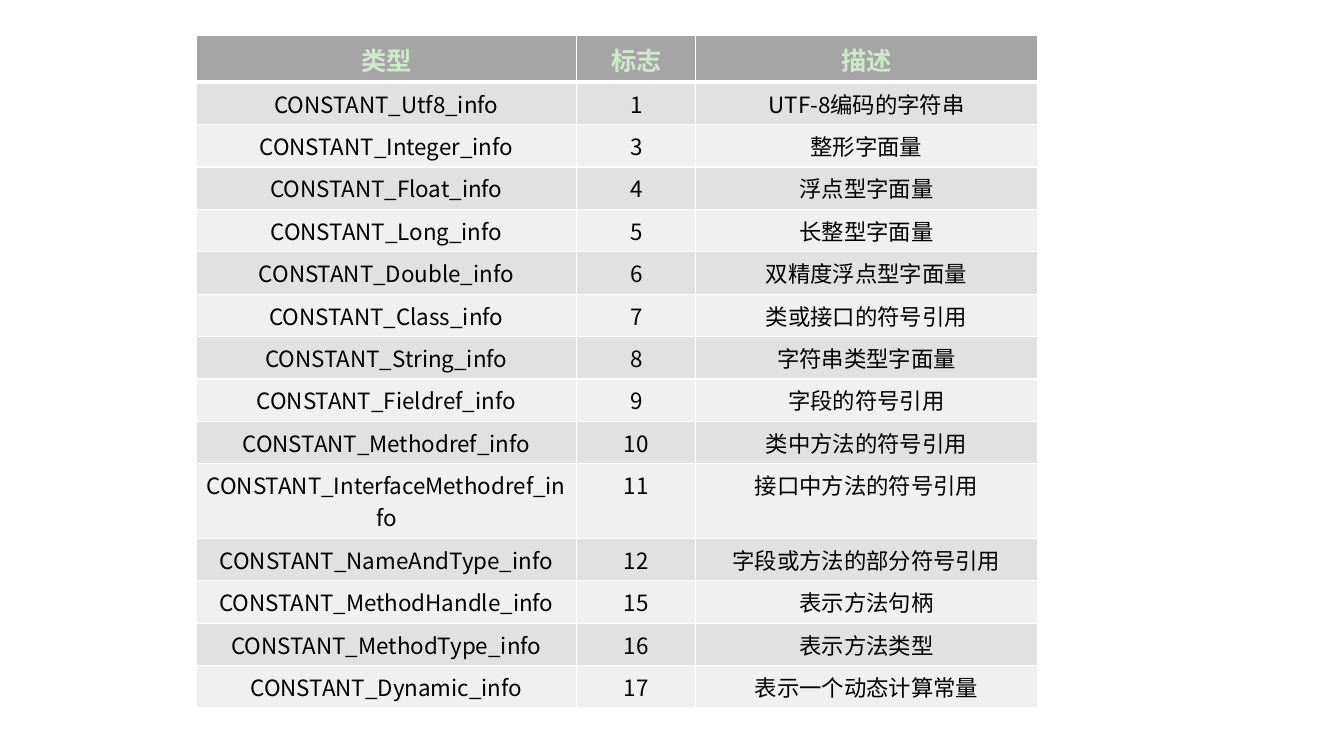
from dataclasses import dataclass

from lxml.etree import SubElement
from pptx import Presentation
from pptx.dml.color import RGBColor
from pptx.enum.text import PP_ALIGN as Align
from pptx.oxml.ns import qn
from pptx.table import _Cell as Cell
from pptx.util import Pt

FONT = "Noto Sans CJK SC"
WHITE = "FFFFFF"
COLUMN_WIDTHS = (272, 85, 244)
ROW_HEIGHT = 26.8


@dataclass(frozen=True)
class Constant:
    kind: str
    tag: str
    description: str


@dataclass(frozen=True)
class CellStyle:
    fill: str
    color: str
    size: float
    bold: bool
    top: float = 1
    bottom: float = 1


HEADING = Constant("类型", "标志", "描述")
CONSTANTS = (
    Constant("CONSTANT_Utf8_info", "1", "UTF-8编码的字符串"),
    Constant("CONSTANT_Integer_info", "3", "整形字面量"),
    Constant("CONSTANT_Float_info", "4", "浮点型字面量"),
    Constant("CONSTANT_Long_info", "5", "长整型字面量"),
    Constant("CONSTANT_Double_info", "6", "双精度浮点型字面量"),
    Constant("CONSTANT_Class_info", "7", "类或接口的符号引用"),
    Constant("CONSTANT_String_info", "8", "字符串类型字面量"),
    Constant("CONSTANT_Fieldref_info", "9", "字段的符号引用"),
    Constant("CONSTANT_Methodref_info", "10", "类中方法的符号引用"),
    Constant("CONSTANT_InterfaceMethodref_info", "11", "接口中方法的符号引用"),
    Constant("CONSTANT_NameAndType_info", "12", "字段或方法的部分符号引用"),
    Constant("CONSTANT_MethodHandle_info", "15", "表示方法句柄"),
    Constant("CONSTANT_MethodType_info", "16", "表示方法类型"),
    Constant("CONSTANT_Dynamic_info", "17", "表示一个动态计算常量"),
)


def paint(target, color: str) -> None:
    target.solid()
    target.fore_color.rgb = RGBColor.from_string(color)


def add_borders(cell: Cell, style: CellStyle) -> None:
    properties = cell._tc.get_or_add_tcPr()
    widths = {"lnL": 1, "lnR": 1, "lnT": style.top, "lnB": style.bottom}
    for side, width in widths.items():
        line = SubElement(properties, qn(f"a:{side}"), w=str(Pt(width)))
        solid = SubElement(line, qn("a:solidFill"))
        SubElement(solid, qn("a:srgbClr"), val=WHITE)


def write_cell(cell: Cell, text: str, style: CellStyle) -> None:
    add_borders(cell, style)
    paint(cell.fill, style.fill)
    para = cell.text_frame.paragraphs[0]
    para.alignment = Align.CENTER
    span = para.add_run()
    span.text = text
    span.font.name = FONT
    span.font.size = Pt(style.size)
    span.font.bold = style.bold
    paint(span.font.fill, style.color)
    SubElement(span.font._element, qn("a:ea"), typeface=FONT)


def row_style(index: int) -> CellStyle:
    if index == 0:
        return CellStyle("A5A5A5", "CEEACA", 18, True, bottom=3)
    fill = "E1E1E1" if index % 2 else "F0F0F0"
    return CellStyle(fill, "000000", 16, False, top=3 if index == 1 else 1)


def main() -> None:
    deck = Presentation()
    deck.slide_width, deck.slide_height = Pt(960), Pt(540)
    page = deck.slides.add_slide(deck.slide_layouts[6])
    paint(page.background.fill, WHITE)

    entries = (HEADING, *CONSTANTS)
    frame = page.shapes.add_table(
        len(entries), len(COLUMN_WIDTHS), Pt(140), Pt(25.5),
        Pt(sum(COLUMN_WIDTHS)), Pt(ROW_HEIGHT * len(entries)),
    )
    table = frame.table
    for column, width in zip(table.columns, COLUMN_WIDTHS):
        column.width = Pt(width)
    for index, (row, entry) in enumerate(zip(table.rows, entries)):
        row.height = Pt(ROW_HEIGHT)
        texts = (entry.kind, entry.tag, entry.description)
        for cell, text in zip(row.cells, texts):
            write_cell(cell, text, row_style(index))
    deck.save("out.pptx")


if __name__ == "__main__":
    main()
